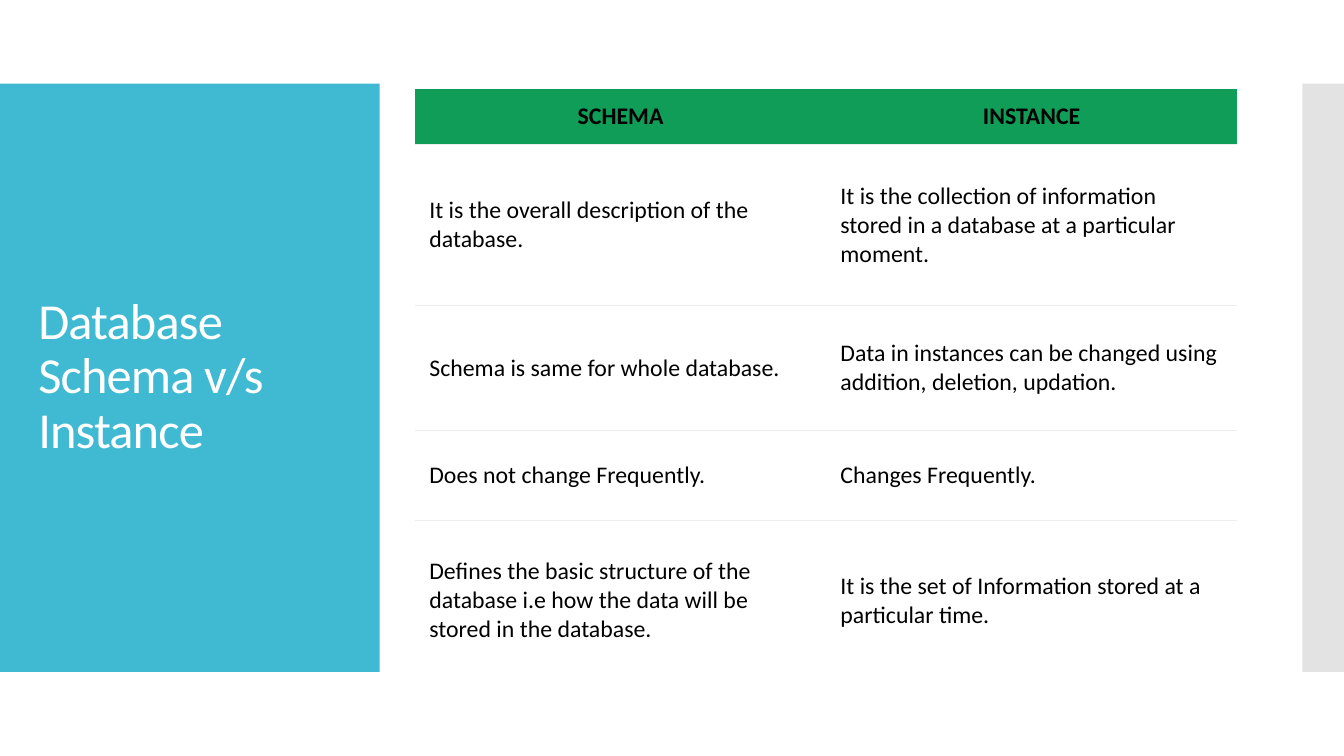
"""Build a slide that compares a database schema with a database instance."""
from pptx import Presentation
from pptx.dml.color import RGBColor
from pptx.enum.shapes import MSO_SHAPE
from pptx.enum.text import MSO_ANCHOR, MSO_AUTO_SIZE, PP_ALIGN
from pptx.oxml import parse_xml
from pptx.oxml.ns import nsdecls, qn
from pptx.util import Cm, Pt

RECTANGLE = MSO_SHAPE.RECTANGLE
MIDDLE = MSO_ANCHOR.MIDDLE
LEFT, CENTER = PP_ALIGN.LEFT, PP_ALIGN.CENTER
NO_AUTOFIT = MSO_AUTO_SIZE.NONE

TITLE = "Database Schema v/s Instance"
ROWS = [
    ("SCHEMA", "INSTANCE"),
    ("It is the overall description of the database.",
     "It is the collection of information stored in a database at a particular moment."),
    ("Schema is same for whole database.",
     "Data in instances can be changed using addition, deletion, updation."),
    ("Does not change Frequently.", "Changes Frequently."),
    ("Defines the basic structure of the database i.e how the data will be stored in the database.",
     "It is the set of Information stored at a particular time."),
]
ROW_HEIGHTS = [1.4, 4.06, 3.15, 2.26, 4.06]
COLUMN_WIDTH = 10.36
TABLE_LEFT, TABLE_TOP = 10.46, 2.24
SLIDE_WIDTH, SLIDE_HEIGHT = 33.87, 19.05
BAND_TOP, BAND_HEIGHT = 2.11, 14.82
TITLE_PANEL_WIDTH, EDGE_STRIP_WIDTH = 9.57, 1.05
FONT = "Calibri"
PLAIN_TABLE_STYLE = "{2D5ABB26-0587-4C30-8999-92F81FD0307C}"
COLOURS = {
    "panel": "40BAD2", "strip": "C8C8C8", "header": "0F9D58",
    "cell": "FFFFFF", "title": "FFFFFF", "text": "000000", "rule": "EDEDED",
}


def colour(name):
    return RGBColor.from_string(COLOURS[name])


def add_run(paragraph, text, size, colour_name, bold=False):
    run = paragraph.add_run()
    run.text = text
    run.font.name = FONT
    run.font.size = Pt(size)
    run.font.bold = bold
    run.font.color.rgb = colour(colour_name)
    return run


def add_band(slide, left, width, colour_name):
    shape = slide.shapes.add_shape(
        RECTANGLE, Cm(left), Cm(BAND_TOP), Cm(width), Cm(BAND_HEIGHT))
    shape.shadow.inherit = False
    shape.fill.solid()
    shape.fill.fore_color.rgb = colour(colour_name)
    shape.line.fill.background()
    return shape


def add_bands(slide):
    add_band(slide, 0, TITLE_PANEL_WIDTH, "panel")
    strip = add_band(slide, SLIDE_WIDTH - EDGE_STRIP_WIDTH, EDGE_STRIP_WIDTH, "strip")
    strip_colour = strip.element.spPr.find(qn("a:solidFill"))[0]
    strip_colour.append(parse_xml(f'<a:alpha {nsdecls("a")} val="50000"/>'))


def format_title(slide):
    title = slide.shapes.title
    title.left, title.top, title.width, title.height = Cm(0.71), Cm(3.12), Cm(8.18), Cm(12.78)
    frame = title.text_frame
    frame.word_wrap = True
    frame.auto_size = NO_AUTOFIT
    frame.vertical_anchor = MIDDLE
    paragraph = frame.paragraphs[0]
    paragraph.alignment = LEFT
    paragraph.line_spacing = 0.9
    run = add_run(paragraph, TITLE, 36, "title")
    run.font._element.set("spc", "-60")
    title.element.getparent().append(title.element)


def add_bottom_rule(cell):
    rule = parse_xml(
        f'<a:lnB {nsdecls("a")} w="{Pt(0.75)}"><a:solidFill>'
        f'<a:srgbClr val="{COLOURS["rule"]}"/></a:solidFill></a:lnB>')
    cell._tc.get_or_add_tcPr().insert(0, rule)


def fill_cell(cell, text, is_header):
    side, edge = (0.2, 0.2) if is_header else (0.36, 0.18)
    cell.margin_left = cell.margin_right = Cm(side)
    cell.margin_top = cell.margin_bottom = Cm(edge)
    cell.vertical_anchor = MIDDLE
    cell.fill.solid()
    cell.fill.fore_color.rgb = colour("header" if is_header else "cell")
    paragraph = cell.text_frame.paragraphs[0]
    paragraph.alignment = CENTER if is_header else LEFT
    add_run(paragraph, text, 17, "text", bold=is_header)


def add_comparison(slide):
    column_count = len(ROWS[0])
    table = slide.shapes.add_table(
        len(ROWS), column_count, Cm(TABLE_LEFT), Cm(TABLE_TOP),
        Cm(COLUMN_WIDTH * column_count), Cm(sum(ROW_HEIGHTS))).table
    table.horz_banding = False
    table._tbl.tblPr.find(qn("a:tableStyleId")).text = PLAIN_TABLE_STYLE
    for column in table.columns:
        column.width = Cm(COLUMN_WIDTH)
    for row_index, (texts, height) in enumerate(zip(ROWS, ROW_HEIGHTS)):
        table.rows[row_index].height = Cm(height)
        for column_index, text in enumerate(texts):
            cell = table.cell(row_index, column_index)
            fill_cell(cell, text, is_header=row_index == 0)
            if row_index < len(ROWS) - 1:
                add_bottom_rule(cell)


def main():
    presentation = Presentation()
    presentation.slide_width = Cm(SLIDE_WIDTH)
    presentation.slide_height = Cm(SLIDE_HEIGHT)
    slide = presentation.slides.add_slide(presentation.slide_layouts[5])
    add_bands(slide)
    format_title(slide)
    add_comparison(slide)
    presentation.save("out.pptx")


if __name__ == "__main__":
    main()
